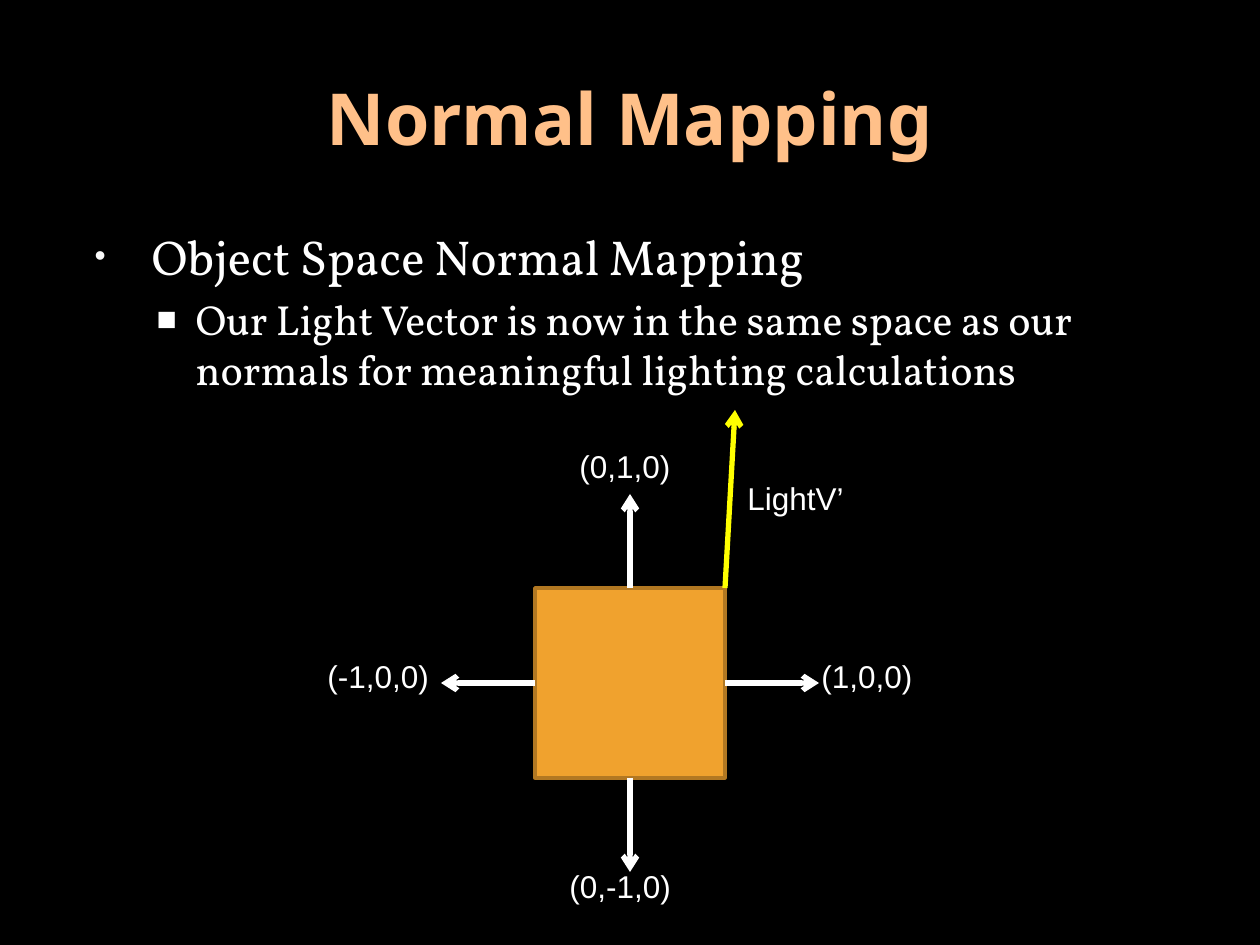
import dataclasses

import lxml.etree
import pptx
import pptx.dml.color
import pptx.enum.shapes
import pptx.enum.text
import pptx.oxml.ns
import pptx.util

PX = 914400 / 126  # EMU in one px
WHITE = "FFFFFF"
qn = pptx.oxml.ns.qn


@dataclasses.dataclass
class Label:
    text: str
    left: int
    top: int
    width: int = 136
    wrap: bool = True


@dataclasses.dataclass
class Arrow:
    start: tuple[int, int]
    end: tuple[int, int]
    color: str = WHITE


@dataclasses.dataclass
class Bullet:
    text: str
    level: int
    size: int
    mark: str
    tint: str
    scale: int  # percent of text size
    left: int
    hang: int


def px(num: float) -> int:
    return round(num * PX)


def rgb(code: str) -> pptx.dml.color.RGBColor:
    return pptx.dml.color.RGBColor.from_string(code)


def place(shape, left: int, top: int, width: int, height: int) -> None:
    shape.left, shape.top = px(left), px(top)
    shape.width, shape.height = px(width), px(height)


def add_run(para, text: str, size: int, face: str, color: str, bold: bool = False) -> None:
    run = para.add_run()
    run.text = text
    run.font.size = pptx.util.Pt(size)
    run.font.name = face
    run.font.bold = bold
    run.font.color.rgb = rgb(color)


def add_bullet(para, item: Bullet) -> None:
    para.level = item.level
    props = para._p.get_or_add_pPr()
    props.set("marL", str(px(item.left)))
    props.set("indent", str(-px(item.hang)))
    tint = lxml.etree.SubElement(props, qn("a:buClr"))
    lxml.etree.SubElement(tint, qn("a:srgbClr"), val=item.tint)
    lxml.etree.SubElement(props, qn("a:buSzPct"), val=str(item.scale * 1000))
    lxml.etree.SubElement(props, qn("a:buFont"), typeface="Arial")
    lxml.etree.SubElement(props, qn("a:buChar"), char=item.mark)
    # One fifth of the text size above each later paragraph
    para.space_before = pptx.util.Pt(item.size * 0.2 if item.level else 0)
    add_run(para, item.text, item.size, "Vollkorn", WHITE)


def add_label(slide, item: Label) -> None:
    box = slide.shapes.add_textbox(px(item.left), px(item.top), px(item.width), px(50))
    frame = box.text_frame
    frame.word_wrap = item.wrap
    frame.auto_size = pptx.enum.text.MSO_AUTO_SIZE.SHAPE_TO_FIT_TEXT
    add_run(frame.paragraphs[0], item.text, 18, "Arial", WHITE)


def add_arrow(slide, item: Arrow) -> None:
    kind = pptx.enum.shapes.MSO_CONNECTOR.STRAIGHT
    line = slide.shapes.add_connector(kind, *map(px, item.start + item.end))
    line.line.color.rgb = rgb(item.color)
    line.line.width = pptx.util.Pt(3)
    lxml.etree.SubElement(line.line._get_or_add_ln(), qn("a:tailEnd"), type="arrow")
    lxml.etree.SubElement(line._element.spPr, qn("a:effectLst"))


def main() -> None:
    deck = pptx.Presentation()
    deck.slide_width, deck.slide_height = px(1260), px(945)
    slide = deck.slides.add_slide(deck.slide_layouts[1])
    slide.background.fill.solid()
    slide.background.fill.fore_color.rgb = rgb("000000")

    # Title
    title = slide.shapes.title
    place(title, 63, 38, 1134, 157)
    title.text_frame.vertical_anchor = pptx.enum.text.MSO_ANCHOR.MIDDLE
    head = title.text_frame.paragraphs[0]
    head.alignment = pptx.enum.text.PP_ALIGN.CENTER
    add_run(head, "Normal Mapping", 41, "Noto Sans", "FFC089", True)

    # Bullet list
    body = slide.placeholders[1]
    place(body, 63, 220, 1134, 649)
    frame = body.text_frame
    frame.auto_size = pptx.enum.text.MSO_AUTO_SIZE.NONE
    add_bullet(frame.paragraphs[0], Bullet(
        "Object Space Normal Mapping", 0, 28, "•", "F9F9F9", 65, 76, 57))
    add_bullet(frame.add_paragraph(), Bullet(
        "Our Light Vector is now in the same space as our normals "
        "for meaningful lighting calculations", 1, 24, "■", WHITE, 80, 120, 39))

    # Square
    mid_x, mid_y, half, reach = 630, 683, 95, 189
    square = slide.shapes.add_shape(
        pptx.enum.shapes.MSO_SHAPE.RECTANGLE,
        px(mid_x - half), px(mid_y - half), px(2 * half), px(2 * half))
    square.shadow.inherit = False
    square.fill.solid()
    square.fill.fore_color.rgb = rgb("F0A22E")
    square.line.color.rgb = rgb("B27822")
    square.line.width = pptx.util.Pt(2)

    # Normals, one out of each side
    for dx, dy in ((-1, 0), (0, -1), (1, 0), (0, 1)):
        add_arrow(slide, Arrow((mid_x + dx * half, mid_y + dy * half),
                               (mid_x + dx * reach, mid_y + dy * reach)))

    # Light vector, from the top right corner
    add_arrow(slide, Arrow((mid_x + half, mid_y - half), (735, 410), "FFFF00"))

    # Labels
    for item in (
        Label("LightV’", 735, 473, 122, False),
        Label("(0,1,0)", 567, 441),
        Label("(0,-1,0)", 557, 861),
        Label("(1,0,0)", 809, 651),
        Label("(-1,0,0)", 315, 651),
    ):
        add_label(slide, item)

    deck.save("out.pptx")


if __name__ == "__main__":
    main()
